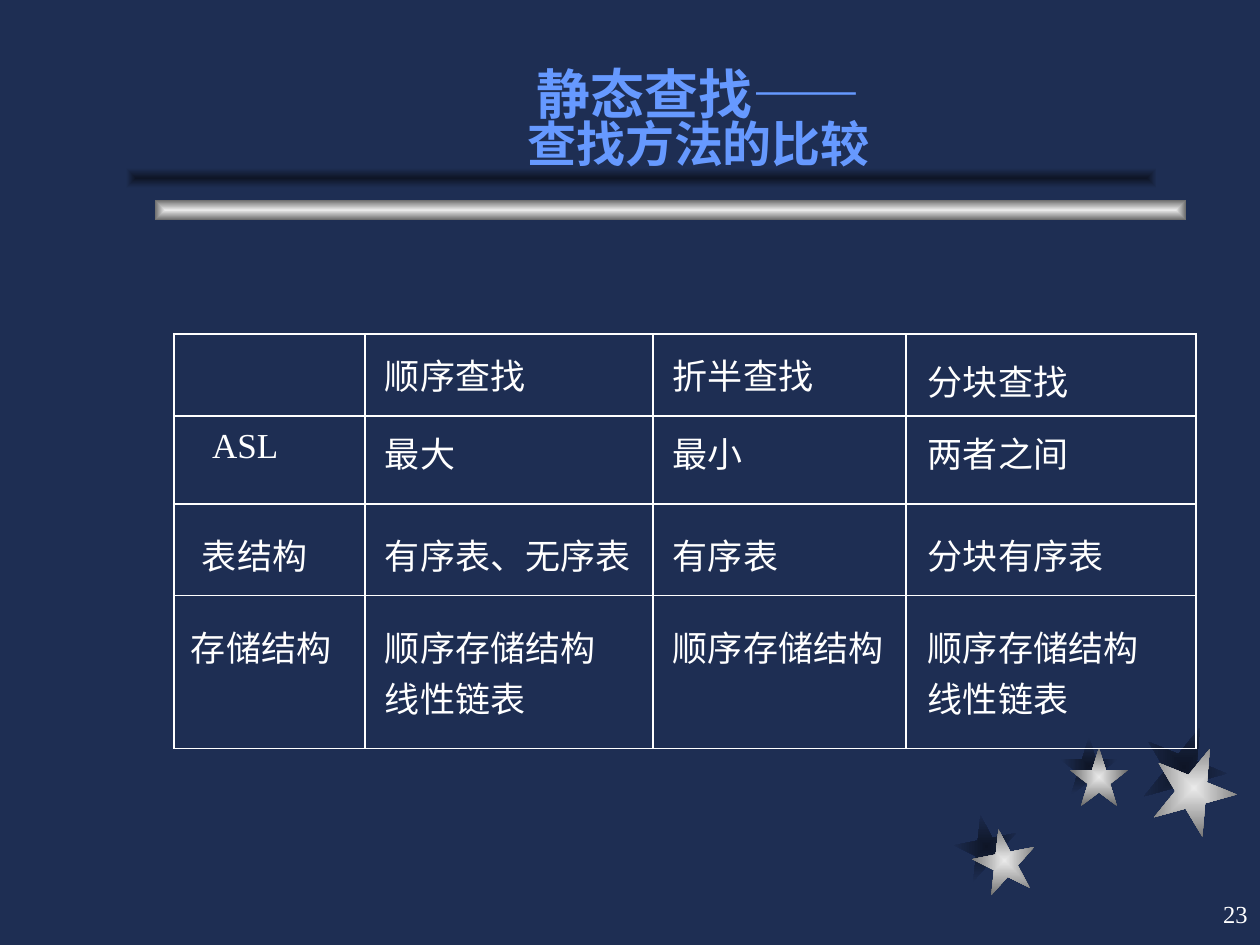
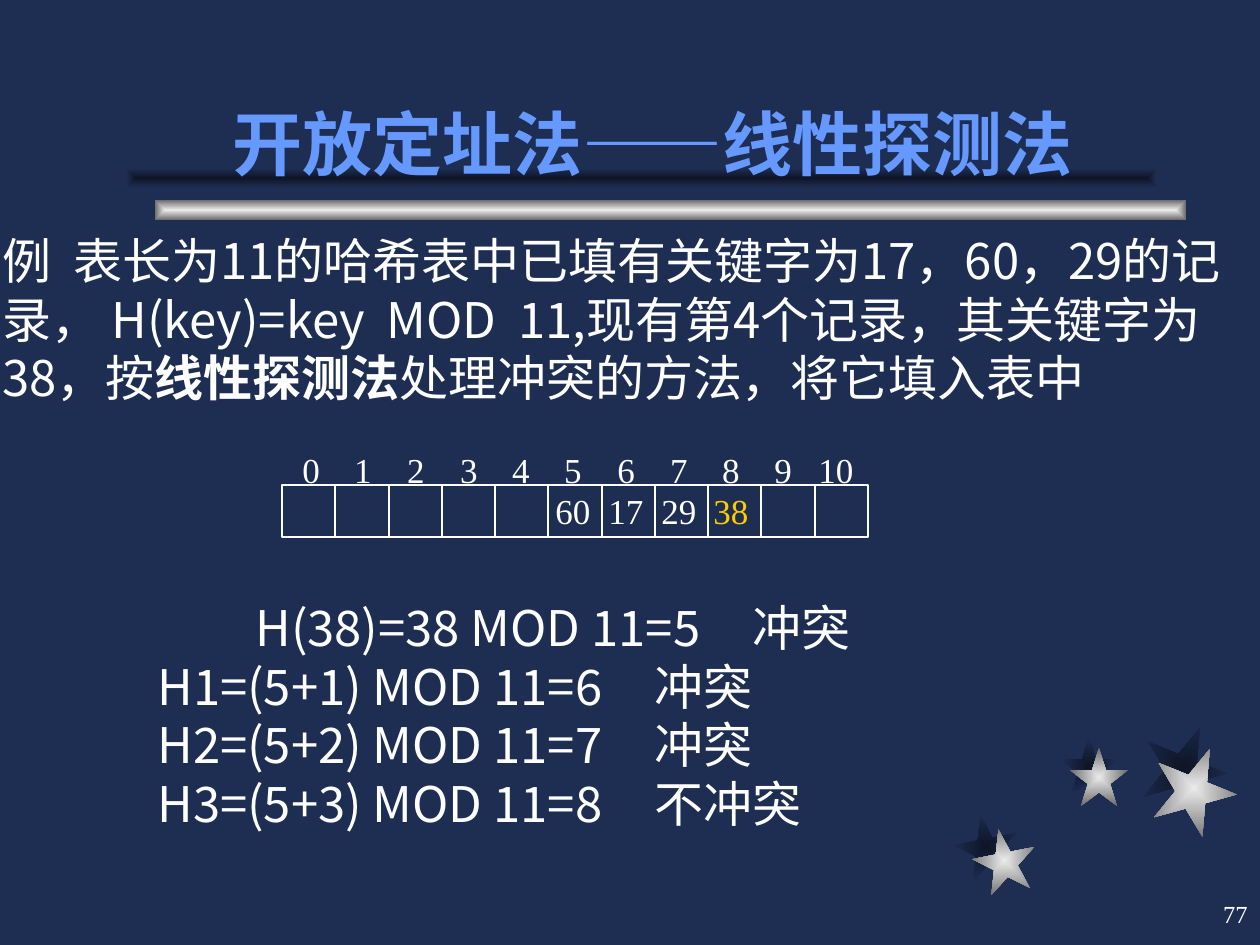
from lxml.etree import SubElement
from pptx import Presentation
from pptx.dml.color import RGBColor
from pptx.enum.shapes import MSO_CONNECTOR, MSO_SHAPE
from pptx.enum.text import MSO_ANCHOR, MSO_AUTO_SIZE, PP_ALIGN
from pptx.oxml.ns import qn
from pptx.util import Emu, Pt

PX = 914400 / 126
NAVY = RGBColor(0x1E, 0x2E, 0x53)
DARK = RGBColor(0x0E, 0x15, 0x26)
PALE = RGBColor(0xEA, 0xEA, 0xEA)
GREY = RGBColor(0x6C, 0x6C, 0x6C)
WHITE = RGBColor(0xFF, 0xFF, 0xFF)
BLUE = RGBColor(0x66, 0x99, 0xFF)
GOLD = RGBColor(0xFF, 0xCC, 0x00)
SERIF = "Times New Roman"
HAN = "Noto Sans CJK SC"


def px(*sizes):
    return [Emu(round(size * PX)) for size in sizes]


def label(slide, box, text, size, face=SERIF, color=WHITE, align=PP_ALIGN.CENTER):
    """Add a text box with one look for all its runs."""
    frame = slide.shapes.add_textbox(*px(*box)).text_frame
    frame.word_wrap = True
    frame.text = text
    for par in frame.paragraphs:
        par.alignment = align
        for run in par.runs:
            run.font.size, run.font.name = Pt(size), face
            run.font.color.rgb = color
    return frame


deck = Presentation()
deck.slide_width, deck.slide_height = px(1260, 945)
master = deck.slide_master
master.background.fill.solid()
master.background.fill.fore_color.rgb = NAVY
first = deck.slides.add_slide(deck.slide_layouts[5])
second = deck.slides.add_slide(deck.slide_layouts[1])

# Stars and title bars, moved to the master
STAR, BAR = MSO_SHAPE.STAR_5_POINT, MSO_SHAPE.RECTANGLE
decor = [
    (STAR, 955, 815, 63, 63, -11, DARK, NAVY),
    (STAR, 1060, 737, 58, 58, 0, DARK, NAVY),
    (STAR, 1142, 725, 84, 84, 22, DARK, NAVY),
    (STAR, 973, 829, 63, 63, -11, PALE, GREY),
    (STAR, 1070, 748, 58, 58, 0, PALE, GREY),
    (STAR, 1152, 746, 84, 84, 22, PALE, GREY),
    (BAR, 155, 200, 1031, 20, 0, PALE, GREY),
    (BAR, 126, 168, 1031, 20, 0, DARK, NAVY),
]
for i, (kind, x, y, w, h, turn, inner, outer) in enumerate(decor):
    shape = first.shapes.add_shape(kind, *px(x, y, w, h))
    shape.shadow.inherit = False
    shape.rotation = turn
    shape.line.fill.background()
    shape.fill.gradient()
    for stop, color in zip(shape.fill.gradient_stops, (inner, outer)):
        stop.color.rgb = color
    grad = shape.element.spPr.find(qn("a:gradFill"))
    grad.remove(grad.find(qn("a:lin")))
    glow = SubElement(grad, qn("a:path"), path="rect")
    SubElement(glow, qn("a:fillToRect"), l="50000", t="50000", r="50000", b="50000")
    shape.element.nvSpPr.cNvPr.set("id", str(50 + i))
    master.element.cSld.spTree.insert(2 + i, shape.element)

# Titles and slide numbers
heads = [
    (first, "23", (231, 31, 935, 147), 0.8, "静态查找——\v查找方法的比较", [30.8, 28], HAN),
    (second, "77", (159, 32, 987, 159), 1.0, "开放定址法——线性探测法", [40], "Arial"),
]
for slide, number, box, space, text, sizes, face in heads:
    title = slide.shapes.title
    title.left, title.top, title.width, title.height = px(*box)
    frame = title.text_frame
    frame.auto_size = MSO_AUTO_SIZE.NONE
    frame.vertical_anchor = MSO_ANCHOR.BOTTOM
    par = frame.paragraphs[0]
    par.text = text
    par.alignment = PP_ALIGN.CENTER
    par.line_spacing = space
    for run, size in zip(par.runs, sizes):
        run.font.size, run.font.name, run.font.bold = Pt(size), face, True
        run.font.color.rgb = BLUE
    frame = label(slide, (998, 882, 262, 63), number, 14, align=PP_ALIGN.RIGHT)
    frame.vertical_anchor = MSO_ANCHOR.MIDDLE

# Comparison of search methods
texts = [
    ["", "顺序查找", "折半查找", "分块查找"],
    ["ASL", "最大", "最小", "两者之间"],
    ["表结构", "有序表、无序表", "有序表", "分块有序表"],
    ["存储结构", "顺序存储结构\n线性链表", "顺序存储结构", "顺序存储结构\n线性链表"],
]
cols, rows = [191, 288, 253, 290], [82, 88, 92, 153]
box = px(174, 334, sum(cols), sum(rows))
table = first.shapes.add_table(len(rows), len(cols), *box).table
table.first_row = table.horz_banding = False
for col, width in zip(table.columns, px(*cols)):
    col.width = width
for row, height in zip(table.rows, px(*rows)):
    row.height = height
insets = [(15, 0), (11, 38), (25, 28), (25, 17)]
for r, (top, indent) in enumerate(insets):
    for c, left in enumerate([indent, 20, 20, 22]):
        cell = table.cell(r, c)
        cell.margin_left, cell.margin_top = px(left, top)
        cell.margin_right = cell.margin_bottom = 0
        cell.text = texts[r][c]
        for par in cell.text_frame.paragraphs:
            for run in par.runs:
                run.font.size, run.font.name = Pt(20), SERIF
                run.font.color.rgb = WHITE
        props = cell._tc.get_or_add_tcPr()
        for side in "LRTB":
            edge = SubElement(props, qn("a:ln" + side), w="9525")
            fill = SubElement(edge, qn("a:solidFill"))
            SubElement(fill, qn("a:srgbClr"), val=str(WHITE))
        cell.fill.background()
table.cell(0, 3).margin_top = px(21)[0]

# Example text
body = second.placeholders[1]
body.left, body.top, body.width, body.height = px(-10, 224, 1274, 248)
frame = body.text_frame
frame.auto_size = MSO_AUTO_SIZE.NONE
par = frame.paragraphs[0]
props = par._p.get_or_add_pPr()
props.set("marL", "0")
props.set("indent", "0")
par.space_before = Pt(0)
SubElement(props, qn("a:buNone"))
parts = [
    ("例  表长为11的哈希表中已填有关键字为17，60，29的记录， "
     "H(key)=key  MOD  11,现有第4个记录，其关键字为38，按", False),
    ("线性探测法", True),
    ("处理冲突的方法，将它填入表中", False),
]
for text, bold in parts:
    run = par.add_run()
    run.text = text
    run.font.size, run.font.name, run.font.bold = Pt(28), HAN, bold
    run.font.color.rgb = WHITE

# Hash table: frame, dividers, indices and keys
left, top, width, height, slots = 282, 485, 586, 52, 11
frame = second.shapes.add_shape(BAR, *px(left, top, width, height))
frame.shadow.inherit = False
frame.fill.background()
frame.line.color.rgb, frame.line.width = WHITE, Pt(0.75)
for i in range(1, slots):
    x = left + round(width * i / slots)
    ends = px(x, top, x, top + height)
    line = second.shapes.add_connector(MSO_CONNECTOR.STRAIGHT, *ends)
    line.line.color.rgb, line.line.width = WHITE, Pt(0.75)
    SubElement(line.element.spPr, qn("a:effectLst"))
keys = {5: "60", 6: "17", 7: "29", 8: "38"}
for i in range(slots):
    x = 276 + round(52.5 * i)
    label(second, (x, 442, 70, 55), str(i), 20)
    if i in keys:
        color = GOLD if keys[i] == "38" else WHITE
        label(second, (x, 483, 70, 55), keys[i], 20, color=color)

# Probing steps and their results
steps = [
    (145, "H(38)=38 MOD 11=5\nH1=(5+1) MOD 11=6\nH2=(5+2) MOD 11=7\nH3=(5+3) MOD 11=8"),
    (642, "冲突\n冲突\n冲突\n不冲突"),
]
for x, text in steps:
    frame = label(second, (x, 591, 600, 248), text, 28, HAN, align=PP_ALIGN.LEFT)
    props = frame.paragraphs[0]._p.get_or_add_pPr()
    props.set("marL", str(px(98)[0]))
    props.set("indent", "0")

# East Asian face of every run
for slide in deck.slides:
    for props in slide.element.iter(qn("a:rPr")):
        if props.find(qn("a:latin")) is not None:
            SubElement(props, qn("a:ea"), typeface=HAN)

deck.save("out.pptx")
